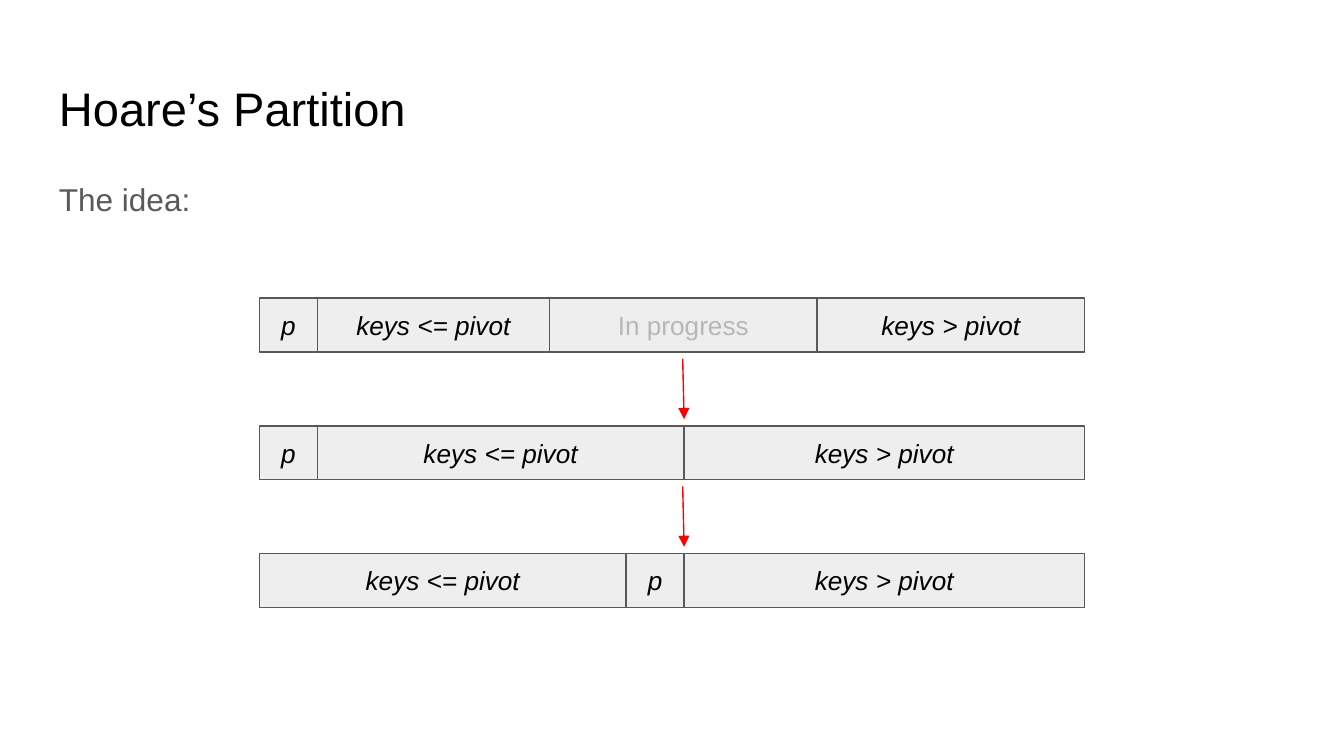
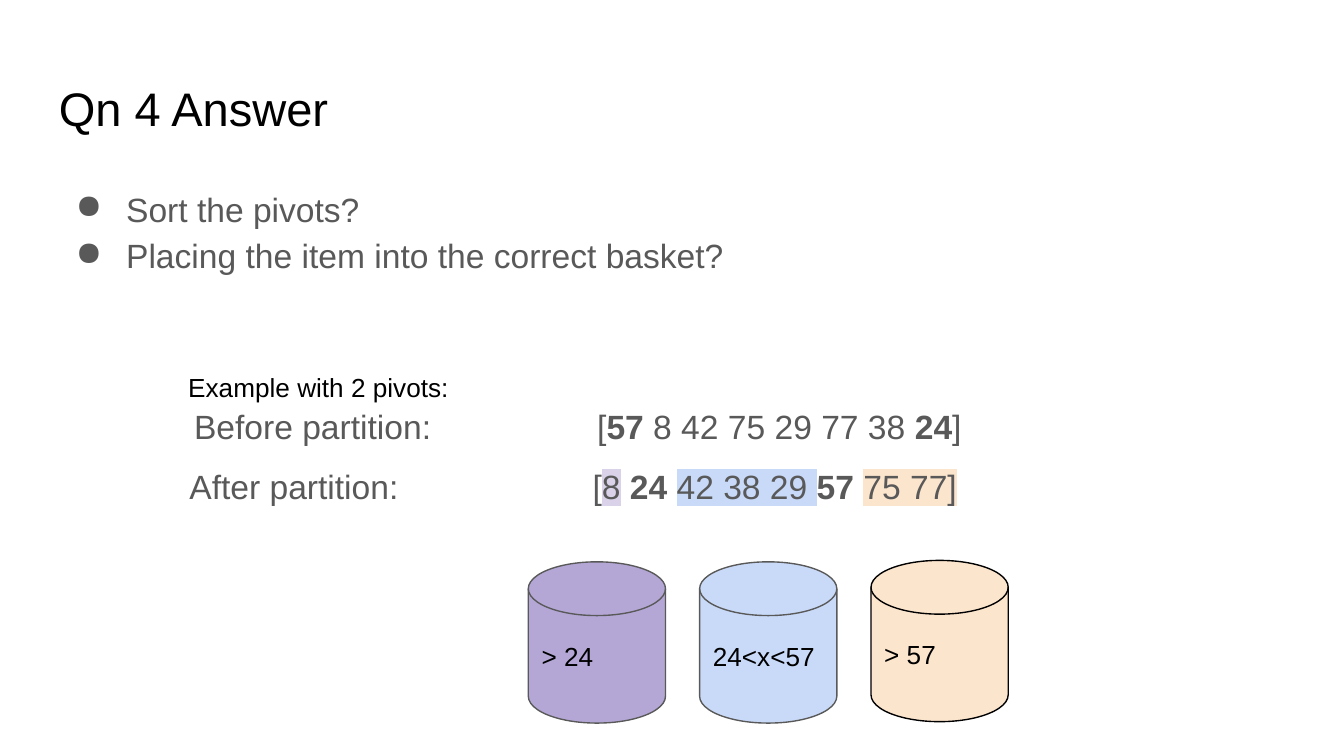
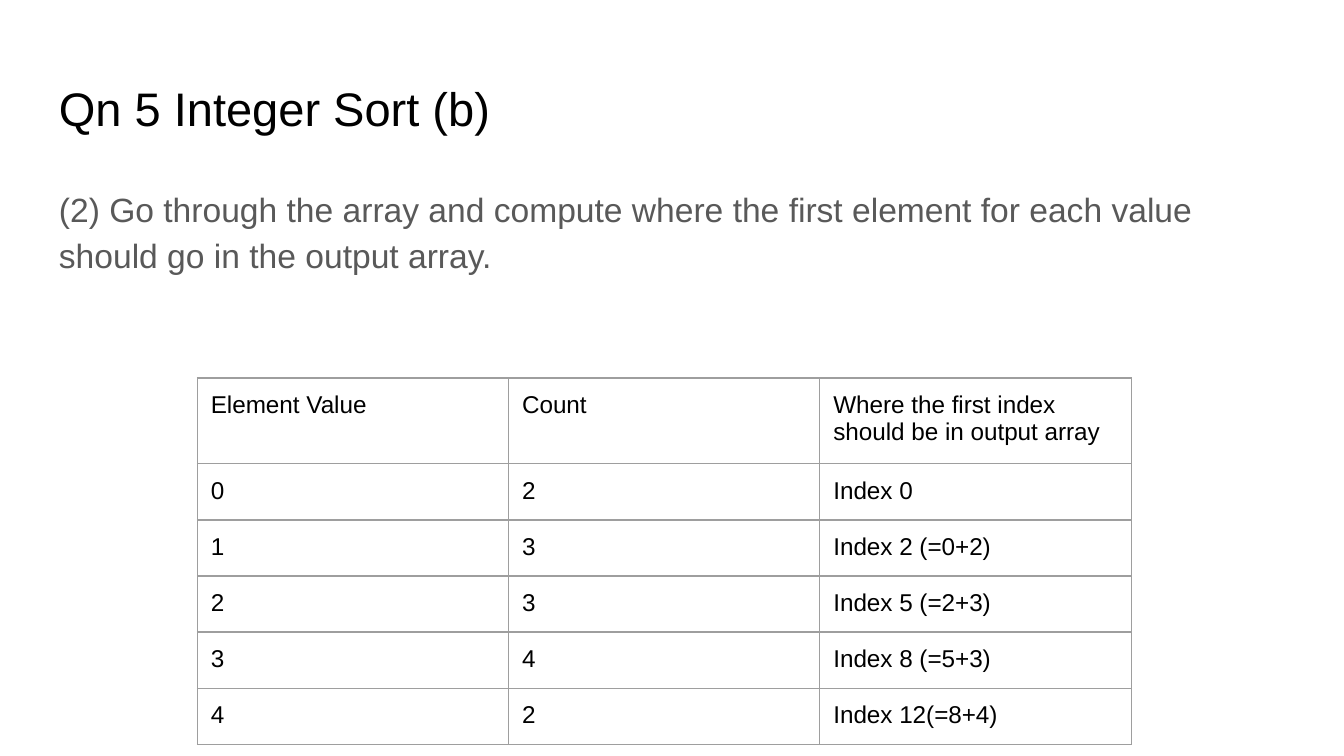
from lxml.etree import SubElement
from pptx import Presentation
from pptx.dml.color import RGBColor
from pptx.enum.shapes import MSO_CONNECTOR, MSO_SHAPE
from pptx.enum.text import MSO_ANCHOR, MSO_AUTO_SIZE, PP_ALIGN
from pptx.oxml.ns import qn
from pptx.util import Pt

# Shared style
COLORS = {
    "ink": "000000", "grey": "595959", "faded": "B7B7B7", "bar": "EEEEEE",
    "arrow": "FF0000", "grid": "9E9E9E", "lilac": "D9D2E9", "purple": "B4A7D6",
    "blue": "C9DAF8", "peach": "FCE5CD",
}
FONT = "Arial"
INSET = 7.2
LINE_WIDTH = 0.75
MARGIN, CONTENT_WIDTH = 24.5, 671
TITLE_TOP, TITLE_HEIGHT, TITLE_SIZE = 35.25, 45.25, 25.2
BODY_TOP = 90.75

# Slide 1: each bar is a row of (label, width)
PIVOT = ("p", 31)
LOW, HIGH = "keys <= pivot", "keys > pivot"
PROGRESS = "In progress"
BARS = [
    [PIVOT, (LOW, 124.5), (PROGRESS, 143.25), (HIGH, 143.25)],
    [PIVOT, (LOW, 196.5), (HIGH, 214.5)],
    [(LOW, 196.5), PIVOT, (HIGH, 214.5)],
]
BAR_LEFT, BAR_TOP, BAR_HEIGHT, BAR_STEP = 139, 159.75, 28.8, 68.4
ARROW_START, ARROW_END, ARROW_GAP = 365.75, 366.5, 3.6

# Slide 2
QUESTIONS = ["Sort the pivots?", "Placing the item into the correct basket?"]
BOLD = {"bold": True}
PARTITIONS = [  # top, width, runs
    (207.25, 477.5, [
        ("Before partition:\t\t[", {}), ("57", BOLD), (" 8 42 75 29 77 38 ", {}),
        ("24", BOLD), ("]", {})]),
    (239, 472.5, [
        ("After partition:\t\t[", {}), ("8", {"highlight": "lilac"}), (" ", {}),
        ("24 ", BOLD), ("42 38 29 ", {"highlight": "blue"}), ("57 ", BOLD),
        ("75 77]", {"highlight": "peach"})]),
]
PARTITION_LEFT, PARTITION_HEIGHT = 70.75, 64
PARTITION_TABS = (144, 216)
BASKETS = [  # label, fill, outline, top
    ("> 24", "purple", "grey", 301),
    ("24<x<57", "blue", "grey", 301),
    ("> 57", "peach", "ink", 300.25),
]
BASKET_LEFT, BASKET_STEP, BASKET_WIDTH, BASKET_HEIGHT = 283, 91.8, 73.5, 86.4

# Slide 3
STEP_TWO = ("(2) Go through the array and compute where the ﬁrst element for each "
            "value should go in the output array.")
INDEX_ROWS = [
    ("Element Value", "Count", "Where the first index should be in output array"),
    ("0", "2", "Index 0"),
    ("1", "3", "Index 2 (=0+2)"),
    ("2", "3", "Index 5 (=2+3)"),
    ("3", "4", "Index 8 (=5+3)"),
    ("4", "2", "Index 12(=8+4)"),
]
TABLE_LEFT, TABLE_TOP, COLUMN_WIDTH = 105.75, 202.5, 166.75
HEADER_HEIGHT, ROW_HEIGHT = 46, 28.8


def rgb(name):
    return RGBColor.from_string(COLORS[name])


def color_element(parent, tag, name):
    SubElement(SubElement(parent, qn(tag)), qn("a:srgbClr"), val=COLORS[name])


def add_run(paragraph, text, size, color, bold=False, italic=False, highlight=None):
    run = paragraph.add_run()
    run.text = text
    run.font.size = Pt(size)
    run.font.bold = bold
    run.font.italic = italic
    run.font.color.rgb = rgb(color)
    if highlight:
        color_element(run.font._element, "a:highlight", highlight)
    run.font.name = FONT


def prepare_frame(shape, anchor=MSO_ANCHOR.TOP):
    frame = shape.text_frame
    frame.word_wrap = True
    frame.vertical_anchor = anchor
    frame.margin_left = frame.margin_right = Pt(INSET)
    frame.margin_top = frame.margin_bottom = Pt(INSET)
    return frame


def add_box(slide, left, top, width, height, grow=False):
    box = slide.shapes.add_textbox(Pt(left), Pt(top), Pt(width), Pt(height))
    frame = prepare_frame(box)
    if grow:
        frame.auto_size = MSO_AUTO_SIZE.SHAPE_TO_FIT_TEXT
    return frame


def add_titled_slide(deck, title):
    slide = deck.slides.add_slide(deck.slide_layouts[6])
    frame = add_box(slide, MARGIN, TITLE_TOP, CONTENT_WIDTH, TITLE_HEIGHT)
    add_run(frame.paragraphs[0], title, TITLE_SIZE, "ink")
    return slide


def add_body(slide, lines, height, size=18, spacing=1.15, bulleted=False):
    frame = add_box(slide, MARGIN, BODY_TOP, CONTENT_WIDTH, height)
    for number, line in enumerate(lines):
        paragraph = frame.add_paragraph() if number else frame.paragraphs[0]
        if bulleted:
            properties = paragraph._p.get_or_add_pPr()
            properties.set("marL", str(Pt(36)))
            properties.set("indent", str(Pt(-27)))
            color_element(properties, "a:buClr", "grey")
            SubElement(properties, qn("a:buChar"), char="●")
        paragraph.line_spacing = spacing
        add_run(paragraph, line, size, "grey")


def add_labelled(slide, kind, left, top, width, height, fill, outline, label,
                 align=PP_ALIGN.LEFT, color="ink", italic=False):
    shape = slide.shapes.add_shape(kind, Pt(left), Pt(top), Pt(width), Pt(height))
    shape.shadow.inherit = False
    shape.fill.solid()
    shape.fill.fore_color.rgb = rgb(fill)
    shape.line.color.rgb = rgb(outline)
    shape.line.width = Pt(LINE_WIDTH)
    paragraph = prepare_frame(shape, MSO_ANCHOR.MIDDLE).paragraphs[0]
    paragraph.alignment = align
    add_run(paragraph, label, 14, color, italic=italic)


def add_arrow(slide, x1, y1, x2, y2):
    arrow = slide.shapes.add_connector(
        MSO_CONNECTOR.STRAIGHT, Pt(x1), Pt(y1), Pt(x2), Pt(y2))
    arrow.line.color.rgb = rgb("arrow")
    arrow.line.width = Pt(LINE_WIDTH)
    SubElement(arrow.line._get_or_add_ln(), qn("a:tailEnd"), type="triangle")
    SubElement(arrow._element.spPr, qn("a:effectLst"))


def build_hoare(deck):
    slide = add_titled_slide(deck, "Hoare’s Partition")
    add_body(slide, ["The idea:"], 40.25, size=16.9, spacing=0.95)
    tops = [BAR_TOP + BAR_STEP * row for row in range(len(BARS))]
    for top, parts in zip(tops, BARS):
        left = BAR_LEFT
        for label, width in parts:
            pending = label == PROGRESS
            add_labelled(slide, MSO_SHAPE.RECTANGLE, left, top, width, BAR_HEIGHT,
                         "bar", "grey", label, PP_ALIGN.CENTER,
                         "faded" if pending else "ink", italic=not pending)
            left += width
    for upper, lower in zip(tops, tops[1:]):
        add_arrow(slide, ARROW_START, upper + BAR_HEIGHT + ARROW_GAP,
                  ARROW_END, lower - ARROW_GAP)


def build_pivots(deck):
    slide = add_titled_slide(deck, "Qn 4 Answer")
    add_body(slide, QUESTIONS, 269.25, bulleted=True)

    # Arrays before and after
    for top, width, runs in PARTITIONS:
        frame = add_box(slide, PARTITION_LEFT, top, width, PARTITION_HEIGHT, grow=True)
        paragraph = frame.paragraphs[0]
        tabs = SubElement(paragraph._p.get_or_add_pPr(), qn("a:tabLst"))
        for stop in PARTITION_TABS:
            SubElement(tabs, qn("a:tab"), pos=str(Pt(stop)), algn="l")
        paragraph.alignment = PP_ALIGN.CENTER
        paragraph.line_spacing = 1.15
        paragraph.space_after = Pt(12)
        for text, style in runs:
            add_run(paragraph, text, 18, "grey", **style)

    # Baskets
    for number, (label, fill, outline, top) in enumerate(BASKETS):
        add_labelled(slide, MSO_SHAPE.FLOWCHART_MAGNETIC_DISK,
                     BASKET_LEFT + BASKET_STEP * number, top,
                     BASKET_WIDTH, BASKET_HEIGHT, fill, outline, label)

    example = add_box(slide, 93.75, 191.5, 393.75, 31.5, grow=True)
    add_run(example.paragraphs[0], "Example with 2 pivots:", 14, "ink")


def style_cell(cell, text):
    properties = cell._tc.get_or_add_tcPr()
    for side in ("a:lnL", "a:lnR", "a:lnT", "a:lnB"):
        border = SubElement(properties, qn(side), w=str(Pt(LINE_WIDTH)))
        color_element(border, "a:solidFill", "grid")
    cell.fill.background()
    cell.margin_left = cell.margin_right = Pt(INSET)
    cell.margin_top = cell.margin_bottom = Pt(INSET)
    add_run(cell.text_frame.paragraphs[0], text, 13, "ink")


def build_integer_sort(deck):
    slide = add_titled_slide(deck, "Qn 5 Integer Sort (b)")
    add_body(slide, [STEP_TWO], 307.5)
    heights = [HEADER_HEIGHT] + [ROW_HEIGHT] * (len(INDEX_ROWS) - 1)
    columns = len(INDEX_ROWS[0])
    table = slide.shapes.add_table(
        len(INDEX_ROWS), columns, Pt(TABLE_LEFT), Pt(TABLE_TOP),
        Pt(COLUMN_WIDTH * columns), Pt(sum(heights))).table
    table.first_row = table.horz_banding = False
    for column in table.columns:
        column.width = Pt(COLUMN_WIDTH)
    for row, height, texts in zip(table.rows, heights, INDEX_ROWS):
        row.height = Pt(height)
        for cell, text in zip(row.cells, texts):
            style_cell(cell, text)


def main():
    deck = Presentation()
    deck.slide_width, deck.slide_height = Pt(720), Pt(405)
    build_hoare(deck)
    build_pivots(deck)
    build_integer_sort(deck)
    deck.save("out.pptx")


if __name__ == "__main__":
    main()
